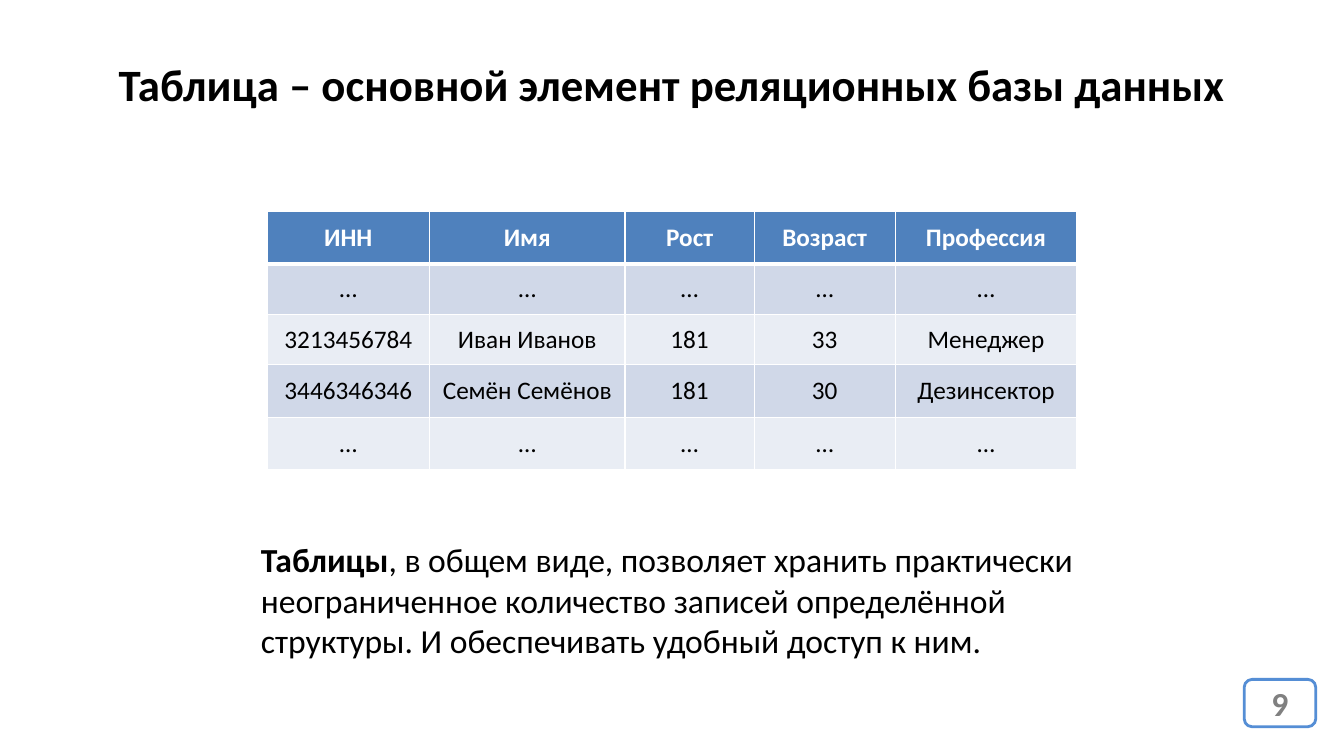
from lxml import etree
from pptx import Presentation
from pptx.dml.color import RGBColor
from pptx.enum.shapes import MSO_SHAPE
from pptx.enum.text import MSO_ANCHOR, PP_ALIGN
from pptx.oxml import parse_xml
from pptx.util import Inches, Pt

ROUNDED = MSO_SHAPE.ROUNDED_RECTANGLE
MIDDLE, TOP = MSO_ANCHOR.MIDDLE, MSO_ANCHOR.TOP
CENTER, LEFT = PP_ALIGN.CENTER, PP_ALIGN.LEFT
TITLE_ONLY = 5
DRAWING_NAMESPACE = "http://schemas.openxmlformats.org/drawingml/2006/main"

FONT = "Calibri"
BLACK, WHITE, GRAY = "000000", "FFFFFF", "808080"
HEADER_BLUE, OUTLINE_BLUE = "4F81BD", "558ED5"
BANDS = ("D0D8E8", "E9EDF4")

TITLE = "Таблица – основной элемент реляционных базы данных"
TERM = "Таблицы"
EXPLANATION = (
    ", в общем виде, позволяет хранить практически неограниченное количество "
    "записей определённой структуры. И обеспечивать удобный доступ к ним."
)
PEOPLE = [
    ["ИНН", "Имя", "Рост", "Возраст", "Профессия"],
    ["…"] * 5,
    ["3213456784", "Иван Иванов", "181", "33", "Менеджер"],
    ["3446346346", "Семён Семёнов", "181", "30", "Дезинсектор"],
    ["…"] * 5,
]
COLUMN_WIDTHS = (1.61, 1.94, 1.28, 1.4, 1.8)
ROW_HEIGHTS = (0.52, 0.5, 0.5, 0.52, 0.52)


def color(value):
    """Return the colour for a hex string."""
    return RGBColor.from_string(value)


def write(paragraph, text, size=18, fill=BLACK, bold=False, align=LEFT):
    """Add a formatted run to a paragraph."""
    paragraph.alignment = align
    run = paragraph.add_run()
    run.text = text
    run.font.name = FONT
    run.font.size = Pt(size)
    run.font.bold = bold
    run.font.color.rgb = color(fill)


def set_borders(cell, top=1, bottom=1):
    """Draw white borders of the given point widths around a cell."""
    properties = cell._tc.get_or_add_tcPr()
    widths = {"lnL": 1, "lnR": 1, "lnT": top, "lnB": bottom}
    for position, (side, width) in enumerate(widths.items()):
        border = parse_xml(
            f'<a:{side} xmlns:a="{DRAWING_NAMESPACE}" w="{Pt(width)}"/>'
        )
        fill = etree.SubElement(border, f"{{{DRAWING_NAMESPACE}}}solidFill")
        etree.SubElement(fill, f"{{{DRAWING_NAMESPACE}}}srgbClr", val=WHITE)
        properties.insert(position, border)


def add_title(slide, left, top, width, height):
    """Place the slide title in its box."""
    title = slide.shapes.title
    title.left, title.top = Inches(left), Inches(top)
    title.width, title.height = Inches(width), Inches(height)
    title.text_frame.vertical_anchor = TOP
    write(title.text_frame.paragraphs[0], TITLE, size=32, bold=True, align=CENTER)


def add_people_table(slide, left, top):
    """Place the banded table of people."""
    frame = slide.shapes.add_table(
        len(ROW_HEIGHTS), len(COLUMN_WIDTHS), Inches(left), Inches(top),
        Inches(sum(COLUMN_WIDTHS)), Inches(sum(ROW_HEIGHTS)),
    )
    table = frame.table
    for column, width in zip(table.columns, COLUMN_WIDTHS):
        column.width = Inches(width)
    for index, (row, height) in enumerate(zip(table.rows, ROW_HEIGHTS)):
        row.height = Inches(height)
        header = index == 0
        for cell, text in zip(row.cells, PEOPLE[index]):
            cell.vertical_anchor = MIDDLE
            cell.fill.solid()
            cell.fill.fore_color.rgb = color(
                HEADER_BLUE if header else BANDS[(index - 1) % 2]
            )
            set_borders(cell, top=3 if index == 1 else 1, bottom=3 if header else 1)
            write(cell.text_frame.paragraphs[0], text, bold=header,
                  fill=WHITE if header else BLACK, align=CENTER)


def add_explanation(slide, left, top, width, height):
    """Place the paragraph that explains the table."""
    box = slide.shapes.add_textbox(
        Inches(left), Inches(top), Inches(width), Inches(height)
    )
    box.text_frame.word_wrap = True
    paragraph = box.text_frame.paragraphs[0]
    write(paragraph, TERM, size=24, bold=True)
    write(paragraph, EXPLANATION, size=24)


def add_page_number(slide, left, top, width, height):
    """Place the rounded page number badge."""
    badge = slide.shapes.add_shape(
        ROUNDED, Inches(left), Inches(top), Inches(width), Inches(height)
    )
    badge.shadow.inherit = False
    badge.fill.solid()
    badge.fill.fore_color.rgb = color(WHITE)
    badge.line.color.rgb = color(OUTLINE_BLUE)
    badge.line.width = Pt(2)
    badge.text_frame.vertical_anchor = MIDDLE
    write(badge.text_frame.paragraphs[0], "9", size=24, fill=GRAY, bold=True,
          align=CENTER)


def main():
    """Build and save the presentation."""
    presentation = Presentation()
    presentation.slide_width = Inches(13.33)
    presentation.slide_height = Inches(7.5)
    slide = presentation.slides.add_slide(presentation.slide_layouts[TITLE_ONLY])
    add_people_table(slide, 2.65, 2.1)
    add_explanation(slide, 2.49, 5.3, 8.43, 1.31)
    add_page_number(slide, 12.34, 6.74, 0.71, 0.47)
    add_title(slide, 0, 0.51, 13.33, 0.64)
    presentation.save("out.pptx")


if __name__ == "__main__":
    main()
